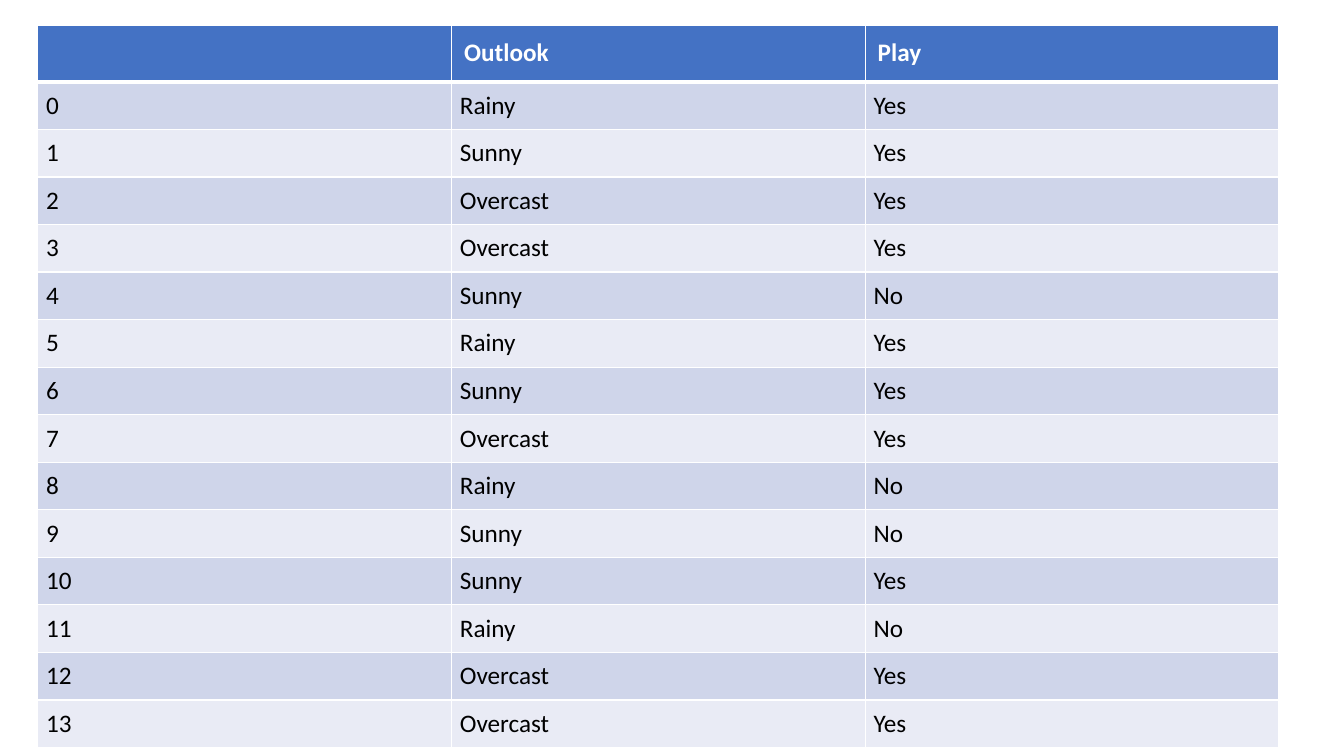
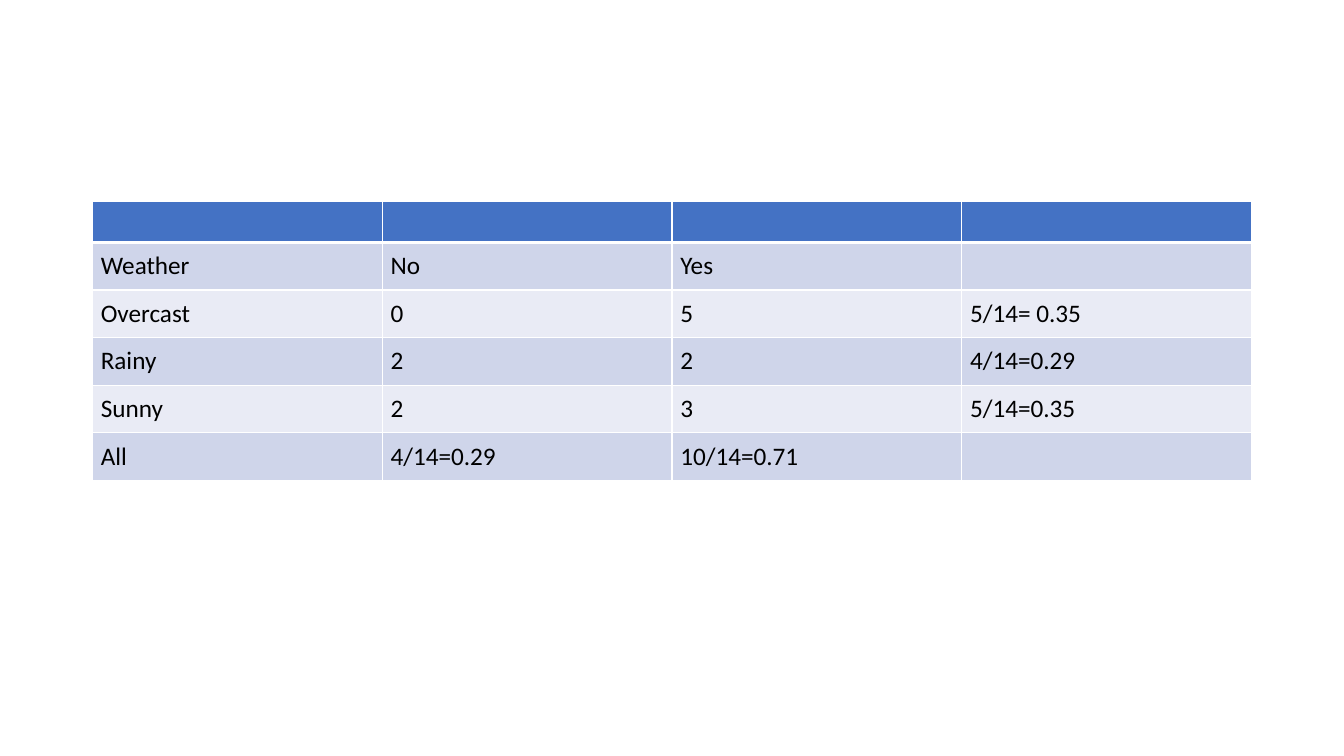
import pptx
import pptx.dml.color
import pptx.enum.text
import pptx.oxml.ns
import pptx.util
import lxml.etree

# Shared style
FONT, SIZE = "Calibri", 18
HEAD, DARK, LIGHT = "4472C4", "CFD5EA", "E9EBF5"
WHITE, BLACK = "FFFFFF", "000000"
ROW = 45


def px(n):
    return pptx.util.Emu(n * 9525)


def color(code):
    return pptx.dml.color.RGBColor.from_string(code)


def write(cell, text, pad=8, ink=BLACK, bold=False, align="JUSTIFY"):
    cell.margin_left = cell.margin_right = px(pad)
    cell.margin_top = cell.margin_bottom = px(pad)
    para = cell.text_frame.paragraphs[0]
    para.alignment = getattr(pptx.enum.text.PP_ALIGN, align)
    run = para.add_run()
    run.text = text
    font = run.font
    font.name, font.size, font.bold = FONT, pptx.util.Pt(SIZE), bold
    font.color.rgb = color(ink)


def edge(cell, top=1, base=1):
    """Draw white borders; widths are in points."""
    qn = pptx.oxml.ns.qn
    props = cell._tc.get_or_add_tcPr()
    for side, width in zip("LRTB", (1, 1, top, base)):
        line = lxml.etree.SubElement(props, qn("a:ln" + side),
                                     w=str(pptx.util.Pt(width)))
        fill = lxml.etree.SubElement(line, qn("a:solidFill"))
        lxml.etree.SubElement(fill, qn("a:srgbClr"), val=WHITE)


def paint(cell, code):
    cell.fill.solid()
    cell.fill.fore_color.rgb = color(code)


def grid(slide, left, top, wide, head, rows):
    """Place a banded table with equal columns and a header of height head."""
    cols = len(rows[0])
    high = head + ROW * (len(rows) - 1)
    table = slide.shapes.add_table(len(rows), cols, px(left), px(top),
                                   px(wide), px(high)).table
    for col in table.columns:
        col.width = px(wide // cols)
    for r, row in enumerate(rows):
        table.rows[r].height = px(ROW if r else head)
        for c, text in enumerate(row):
            cell = table.cell(r, c)
            # The rule under the header is heavier
            edge(cell, top=3 if r == 1 else 1, base=1 if r else 3)
            paint(cell, (DARK if r % 2 else LIGHT) if r else HEAD)
            if text and r:
                write(cell, text)
            elif text:
                write(cell, text, pad=12, ink=WHITE, bold=True, align="LEFT")


# Table contents
DAYS = [
    ("Rainy", "Yes"), ("Sunny", "Yes"), ("Overcast", "Yes"),
    ("Overcast", "Yes"), ("Sunny", "No"), ("Rainy", "Yes"),
    ("Sunny", "Yes"), ("Overcast", "Yes"), ("Rainy", "No"),
    ("Sunny", "No"), ("Sunny", "Yes"), ("Rainy", "No"),
    ("Overcast", "Yes"), ("Overcast", "Yes"),
]
ODDS = [
    ("", "", "", ""),
    ("Weather", "No", "Yes", ""),
    ("Overcast", "0", "5", "5/14= 0.35"),
    ("Rainy", "2", "2", "4/14=0.29"),
    ("Sunny", "2", "3", "5/14=0.35"),
    ("All", "4/14=0.29", "10/14=0.71", ""),
]


def main():
    deck = pptx.Presentation()
    deck.slide_width, deck.slide_height = px(1280), px(720)
    blank = deck.slide_layouts[6]

    # Observed days
    days = [("", "Outlook", "Play")]
    days += [(str(n), *day) for n, day in enumerate(DAYS)]
    grid(deck.slides.add_slide(blank), 36, 24, 1182, 54, days)

    # Frequency and likelihood
    grid(deck.slides.add_slide(blank), 88, 192, 1104, 39, ODDS)

    deck.save("out.pptx")


if __name__ == "__main__":
    main()
